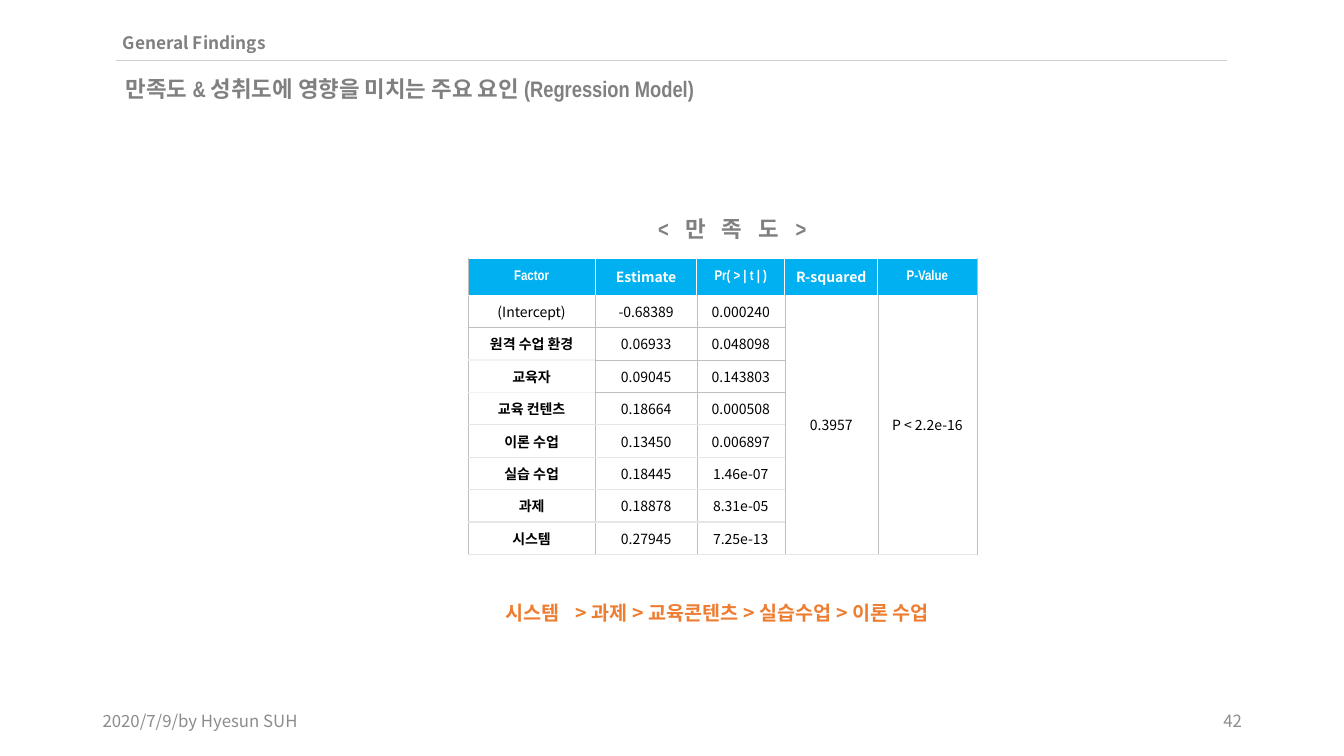
from lxml import etree
from pptx import Presentation
from pptx.dml.color import RGBColor
from pptx.enum.shapes import MSO_CONNECTOR
from pptx.enum.text import MSO_ANCHOR, PP_ALIGN
from pptx.oxml.ns import qn
from pptx.util import Pt

LEFT, CENTER, RIGHT = PP_ALIGN.LEFT, PP_ALIGN.CENTER, PP_ALIGN.RIGHT
TOP, MIDDLE = MSO_ANCHOR.TOP, MSO_ANCHOR.MIDDLE
STRAIGHT = MSO_CONNECTOR.STRAIGHT

GRAY = RGBColor(0x80, 0x80, 0x80)
FOOT = RGBColor(0x8C, 0x8C, 0x8C)
ORANGE = RGBColor(0xED, 0x7D, 0x31)
BLUE = RGBColor(0x00, 0xB0, 0xF0)
WHITE = RGBColor(0xFF, 0xFF, 0xFF)
BLACK = RGBColor(0, 0, 0)
RULE = RGBColor(0xD0, 0xCE, 0xCE)
GRID = RGBColor(0xBF, 0xBF, 0xBF)
PALE = RGBColor(0xE7, 0xE6, 0xE6)
FAINT = RGBColor(0xF2, 0xF2, 0xF2)
NOTO, NARROW = "Noto Sans CJK KR", "Arial Narrow"

# Each text: box, runs as (words, letter spacing), size, font, colour, bold,
# alignment, anchor, side and top insets
TEXTS = [
    ((82.8, 20.9, 482.4, 20.2), [("General Findings", 0)],
     12.3, NOTO, GRAY, True, LEFT, TOP, (5, 2.2)),
    ((82.8, 50.4, 543.6, 26.6),
     [("만족도 & 성취도에 영향을 미치는 주요 요인 (Regression Model)", 0)],
     16, NARROW, GRAY, True, LEFT, TOP, (7.2, 3.6)),
    ((463, 150.5, 131, 26.6), [("< 만 족 도 >", 4)],
     16, NARROW, GRAY, True, LEFT, TOP, (7.2, 3.6)),
    ((354.2, 425.5, 382.3, 24.5),
     [("시스템", 0), (" ", 8), ("> 과제 > 교육콘텐츠 > 실습수업 > 이론 수업", 0)],
     14, NOTO, ORANGE, True, LEFT, TOP, (7.2, 3.6)),
    ((66.2, 500.4, 216, 28.8), [("2020/7/9/by Hyesun SUH", 0)],
     12, NOTO, FOOT, False, LEFT, MIDDLE, (7.2, 3.6)),
    ((678.2, 500.4, 216, 28.8), [("42", 0)],
     12, NOTO, FOOT, False, RIGHT, MIDDLE, (7.2, 3.6)),
]
ROWS = [
    ("Factor", "Estimate", "Pr( > | t | )", "R-squared", "P-Value"),
    ("(Intercept)", "-0.68389", "0.000240", "0.3957", "P < 2.2e-16"),
    ("원격 수업 환경", "0.06933", "0.048098"),
    ("교육자", "0.09045", "0.143803"),
    ("교육 컨텐츠", "0.18664", "0.000508"),
    ("이론 수업", "0.13450", "0.006897"),
    ("실습 수업", "0.18445", "1.46e-07"),
    ("과제", "0.18878", "8.31e-05"),
    ("시스템", "0.27945", "7.25e-13"),
]
WIDTHS = [91, 72.6, 62.7, 66.6, 70.7]
HEAD_H, ROW_H = 26.4, 23.15
LAST = len(WIDTHS) - 1


def add_run(para, words, size, font, color, bold, gap=0):
    run = para.add_run()
    run.text = words
    run.font.size = Pt(size)
    run.font.name = font
    run.font.bold = bold
    run.font.color.rgb = color
    props = run.font._element
    etree.SubElement(props, qn("a:ea"), typeface=NOTO)
    if gap:
        props.set("spc", str(gap * 100))


def add_text(slide, box, runs, size, font, color, bold, align, anchor, inset):
    frame = slide.shapes.add_textbox(*map(Pt, box)).text_frame
    frame.word_wrap = True
    frame.vertical_anchor = anchor
    frame.margin_left = frame.margin_right = Pt(inset[0])
    frame.margin_top = frame.margin_bottom = Pt(inset[1])
    para = frame.paragraphs[0]
    para.alignment = align
    for words, gap in runs:
        add_run(para, words, size, font, color, bold, gap)


def rule_under(row, col):
    """Colour of the horizontal rule below a row; row -1 is the table top."""
    if row < 1:
        return WHITE
    if row > 3 or col > 2:
        return PALE
    return FAINT if col == 0 and row > 1 else GRID


def rule_before(row, col):
    """Colour of the vertical rule left of a column."""
    return WHITE if row == 0 and 0 < col <= LAST else GRID


def set_borders(cell, row, col):
    sides = {"lnL": rule_before(row, col), "lnR": rule_before(row, col + 1),
             "lnT": rule_under(row - 1, col), "lnB": rule_under(row, col)}
    props = cell._tc.get_or_add_tcPr()
    for side, color in sides.items():
        width = Pt(0.25) if color == GRID else Pt(1)
        line = etree.SubElement(props, qn("a:" + side), w=str(int(width)))
        fill = etree.SubElement(line, qn("a:solidFill"))
        etree.SubElement(fill, qn("a:srgbClr"), val=str(color))


def add_grid(slide):
    count = len(ROWS)
    table = slide.shapes.add_table(
        count, len(WIDTHS), Pt(334.2), Pt(184.5), Pt(sum(WIDTHS)),
        Pt(HEAD_H + ROW_H * (count - 1))).table
    table.horz_banding = False
    for col, width in enumerate(WIDTHS):
        table.columns[col].width = Pt(width)
    for row, words in enumerate(ROWS):
        head = row == 0
        table.rows[row].height = Pt(ROW_H if row else HEAD_H)
        for col in range(len(WIDTHS)):
            cell = table.cell(row, col)
            set_borders(cell, row, col)
            if head:
                cell.fill.solid()
                cell.fill.fore_color.rgb = BLUE
            else:
                cell.fill.background()
            if col >= len(words):
                continue
            factor = row > 1 and col == 0
            narrow = factor or (head and col % 2 == 0)
            cell.vertical_anchor = MIDDLE
            para = cell.text_frame.paragraphs[0]
            para.alignment = CENTER
            add_run(para, words[col], 10, NARROW if narrow else NOTO,
                    WHITE if head else BLACK, head or factor)
    for col in (3, 4):
        table.cell(1, col).merge(table.cell(count - 1, col))


def main():
    deck = Presentation()
    deck.slide_width, deck.slide_height = Pt(960), Pt(540)
    slide = deck.slides.add_slide(deck.slide_layouts[6])
    line = slide.shapes.add_connector(
        STRAIGHT, Pt(82.8), Pt(43.2), Pt(876.2), Pt(43.2))
    line.line.color.rgb = RULE
    line.line.width = Pt(0.5)
    etree.SubElement(line._element.spPr, qn("a:effectLst"))
    add_grid(slide)
    for text in TEXTS:
        add_text(slide, *text)
    deck.save("out.pptx")


if __name__ == "__main__":
    main()
